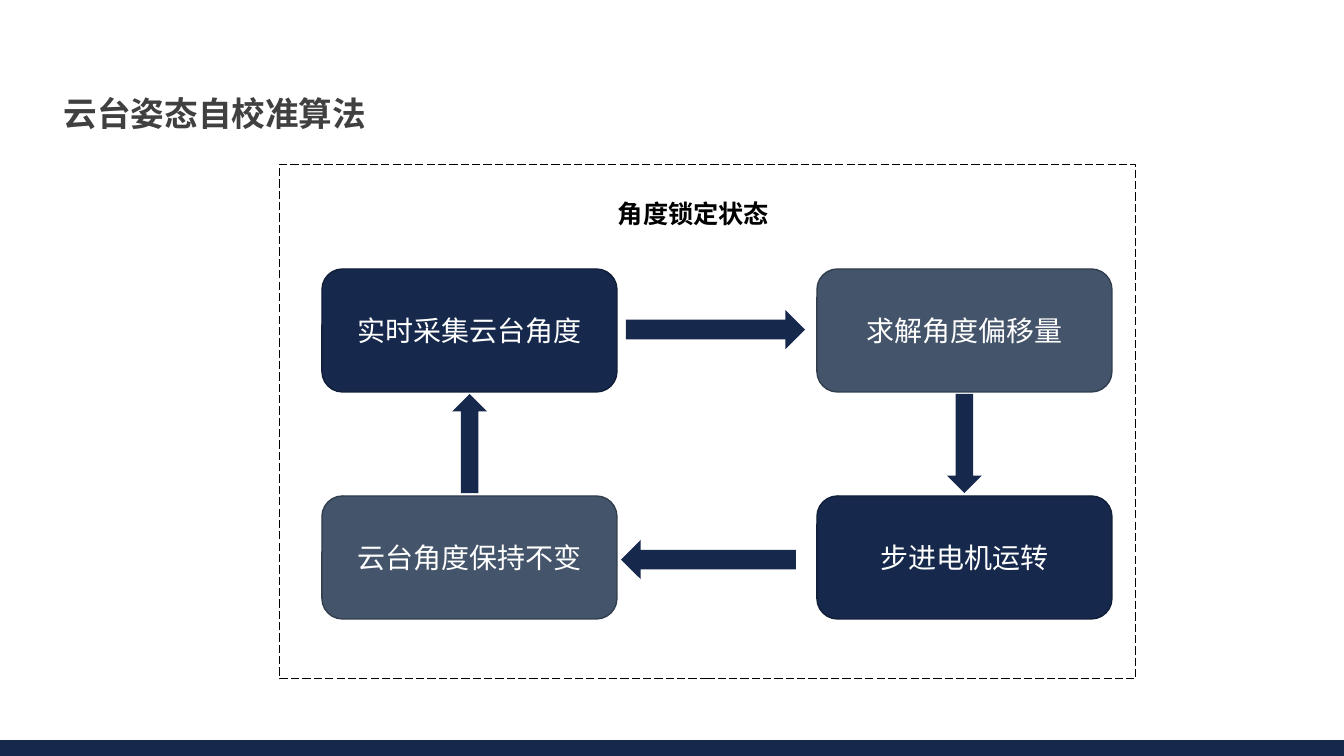
from lxml import etree
from pptx import Presentation, util as u
from pptx.dml.color import RGBColor
from pptx.enum import dml, shapes, text
from pptx.oxml.ns import qn

NAVY = RGBColor(0x16, 0x29, 0x4C)
NAVY_EDGE = RGBColor(0x10, 0x1E, 0x38)
SLATE = RGBColor(0x44, 0x54, 0x6A)
SLATE_EDGE = RGBColor(0x32, 0x3E, 0x4E)
GREY = RGBColor(0x40, 0x40, 0x40)
BLACK = RGBColor(0, 0, 0)
WHITE = RGBColor(0xFF, 0xFF, 0xFF)
FONT = "Noto Sans CJK SC"
KIND = shapes.MSO_SHAPE
ALIGN = text.PP_ALIGN
ANCHOR = text.MSO_ANCHOR


def px(n):
    """Turn whole pixels into EMU."""
    return u.Emu(round(n * 914400 / 100.8))


def write(frame, words, size, color, align, anchor, bold=False):
    """Put one formatted run into a text frame."""
    frame.vertical_anchor = anchor
    frame.auto_size = text.MSO_AUTO_SIZE.NONE
    para = frame.paragraphs[0]
    para.alignment = align
    run = para.add_run()
    run.text = words
    font = run.font
    font.size, font.bold, font.name = u.Pt(size), bold, FONT
    font.color.rgb = color
    east = etree.SubElement(run._r.get_or_add_rPr(), qn("a:ea"))
    east.set("typeface", FONT)
    return para


def shape(slide, kind, x, y, w, h, fill, edge=None, width=1):
    """Add a filled shape with an optional outline."""
    item = slide.shapes.add_shape(kind, px(x), px(y), px(w), px(h))
    item.shadow.inherit = False
    item.fill.solid()
    item.fill.fore_color.rgb = fill
    if edge is None:
        item.line.fill.background()
    else:
        item.line.color.rgb = edge
        item.line.width = u.Pt(width)
    return item


def title(slide, words):
    """Place the slide title."""
    item = slide.shapes.title
    item.left, item.top, item.width, item.height = px(47), px(68), px(336), px(71)
    para = write(item.text_frame, words, 24, GREY, ALIGN.CENTER, ANCHOR.TOP, True)
    para.line_spacing = 1.5


def label(slide, words, x, y, w, h):
    """Add the heading of the frame."""
    item = slide.shapes.add_textbox(px(x), px(y), px(w), px(h))
    write(item.text_frame, words, 18, BLACK, ALIGN.LEFT, ANCHOR.TOP, True)


def step(slide, words, x, y, fill, edge):
    """Add one step of the loop."""
    item = shape(slide, KIND.ROUNDED_RECTANGLE, x, y, 295, 123, fill, edge)
    frame = item.text_frame
    frame.word_wrap = True
    frame.margin_left = frame.margin_right = px(13)
    frame.margin_top = frame.margin_bottom = px(7)
    write(frame, words, 20, WHITE, ALIGN.CENTER, ANCHOR.MIDDLE)


def arrow(slide, kind, x, y, w, h, turn=0):
    """Add a block arrow."""
    shape(slide, kind, x, y, w, h, NAVY).rotation = turn


def main():
    """Build and save the slide."""
    deck = Presentation()
    deck.slide_width, deck.slide_height = px(1344), px(756)
    slide = deck.slides.add_slide(deck.slide_layouts[5])
    shape(slide, KIND.RECTANGLE, 0, 740, 1344, 16, NAVY)
    title(slide, "云台姿态自校准算法")
    frame = shape(slide, KIND.RECTANGLE, 280, 164, 856, 515, WHITE, BLACK, 0.75)
    frame.line.dash_style = dml.MSO_LINE.LONG_DASH
    label(slide, "角度锁定状态", 608, 193, 174, 40)

    left, right, top, low = 322, 817, 269, 496
    dark, light = (NAVY, NAVY_EDGE), (SLATE, SLATE_EDGE)
    for words, x, y, tone in (
        ("实时采集云台角度", left, top, dark),
        ("求解角度偏移量", right, top, light),
        ("步进电机运转", right, low, dark),
        ("云台角度保持不变", left, low, light),
    ):
        step(slide, words, x, y, *tone)

    arrow(slide, KIND.RIGHT_ARROW, 626, 310, 179, 39)
    arrow(slide, KIND.DOWN_ARROW, 947, 394, 35, 99)
    arrow(slide, KIND.RIGHT_ARROW, 621, 540, 175, 39, 180)
    arrow(slide, KIND.DOWN_ARROW, 452, 394, 35, 99, 180)
    deck.save("out.pptx")


if __name__ == "__main__":
    main()
